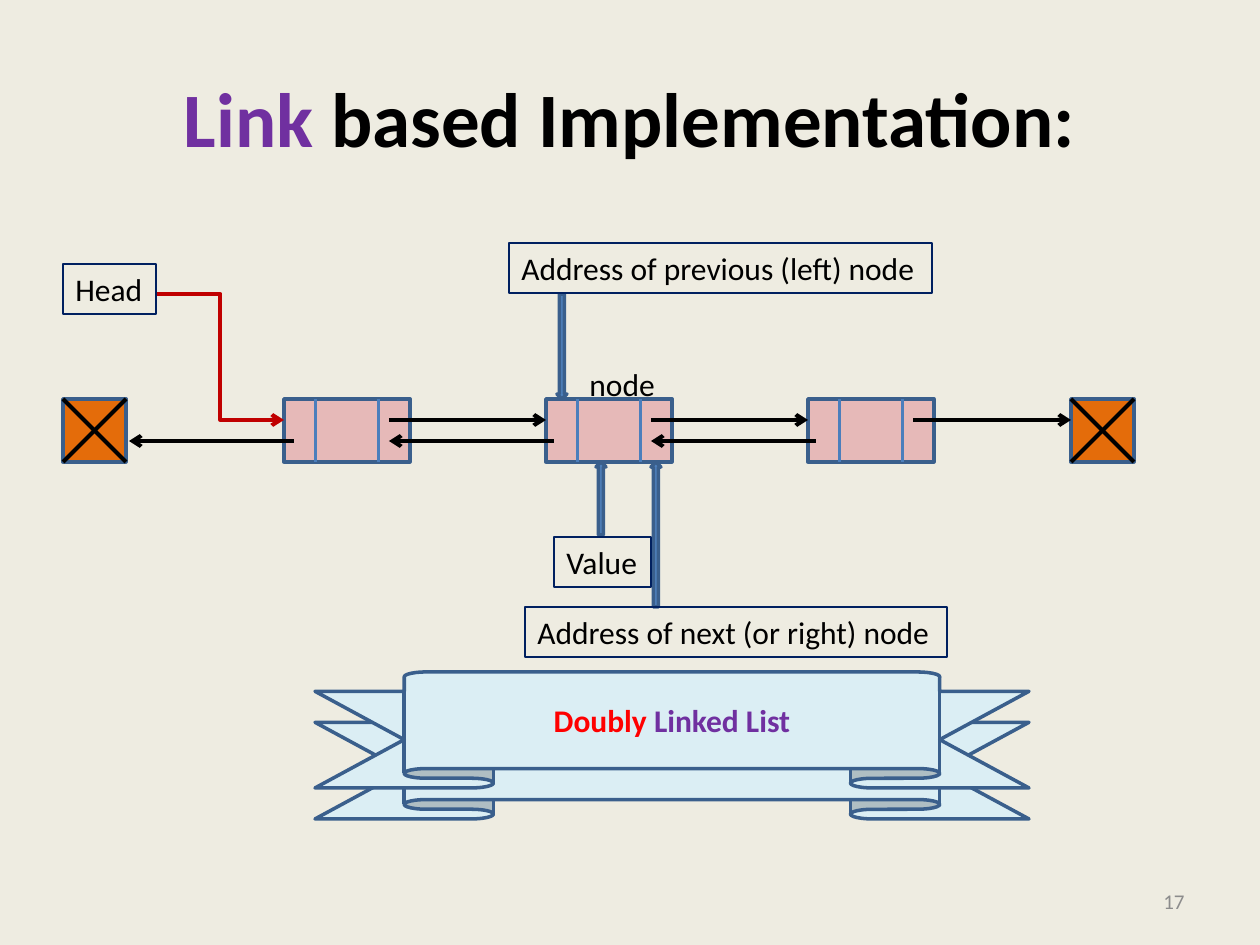
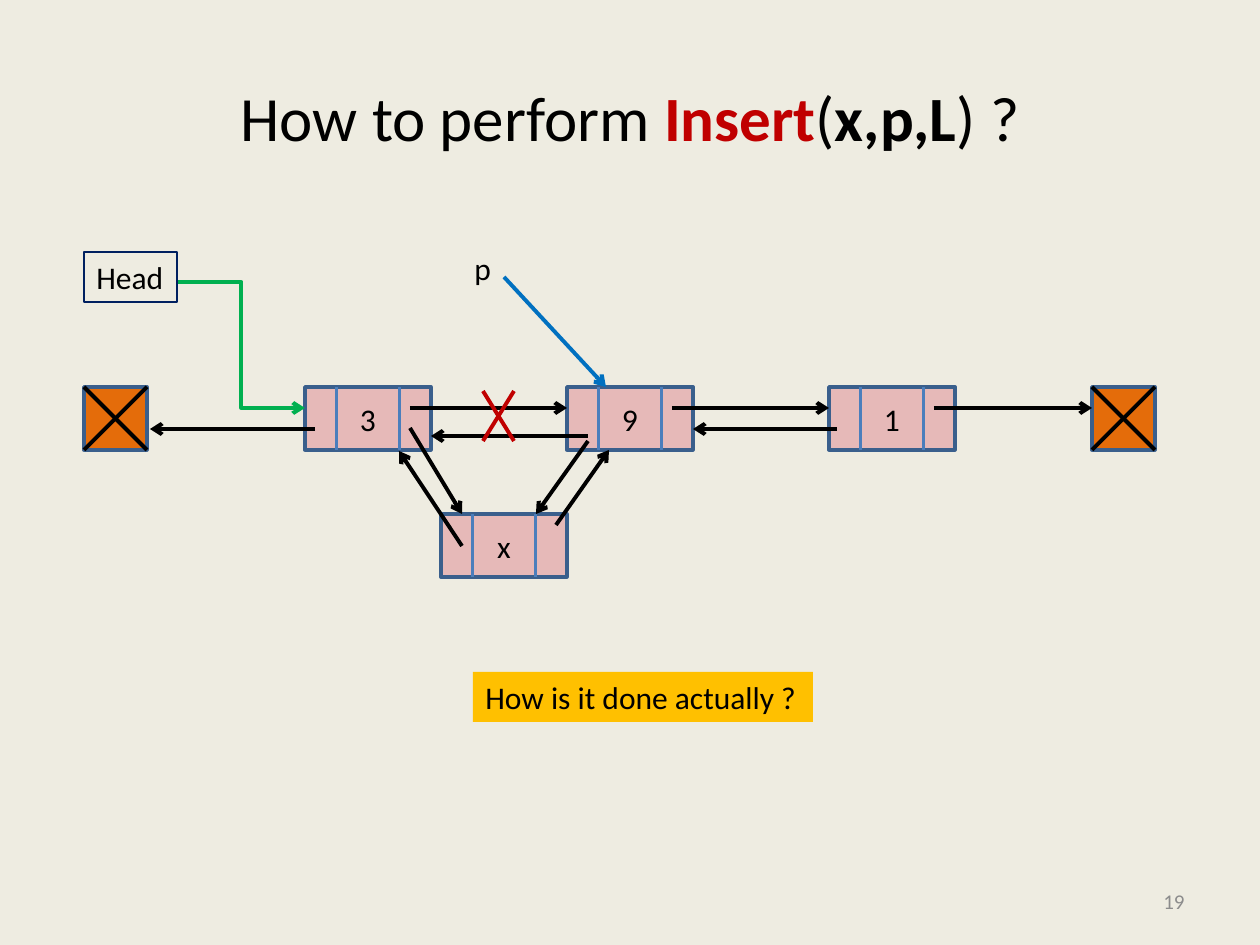
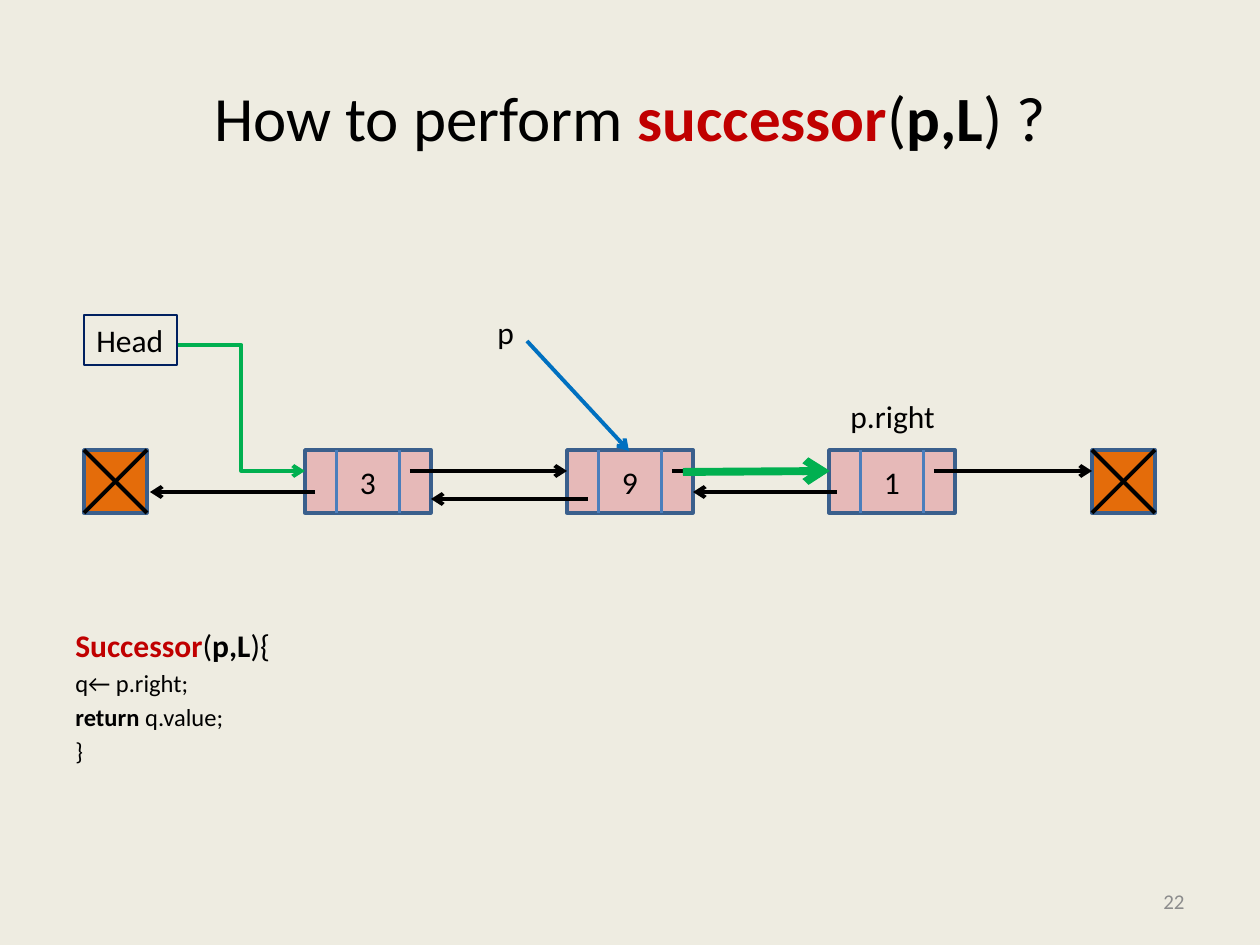
import pptx
import pptx.util
import pptx.dml.color
import pptx.enum.shapes
import pptx.enum.text
import pptx.oxml.ns
from lxml import etree

SCALE = 914400 / 126
SHAPE = pptx.enum.shapes.MSO_SHAPE
LINK = pptx.enum.shapes.MSO_CONNECTOR
ALIGN = pptx.enum.text.PP_ALIGN
MIDDLE = pptx.enum.text.MSO_ANCHOR.MIDDLE

# Shared colours and sizes
PAPER, INK, GREY = "EEECE1", "000000", "8C8C8C"
PURPLE, RED, CRIMSON = "7030A0", "FF0000", "C00000"
GREEN, BLUE, NAVY, GOLD = "00B050", "0070C0", "002060", "FFC000"
PINK, ORANGE, SKY = "E6B9B8", "E46C0A", "DBEEF4"
EDGE, SPLIT, ARROW = "3A5F8C", "4B7EBC", "4F81BD"
TITLE, NUMBER = (63, 38, 1134, 157), (903, 876, 294, 50)
NODE_W, NODE_H = 126, 63
NODES = [221 + 262 * i for i in range(3)]
END = 1008      # left side of the last null box
OUT = 105       # where a forward link leaves its node


def px(*sizes):
    return [pptx.util.Emu(round(size * SCALE)) for size in sizes]


def rgb(code):
    return pptx.dml.color.RGBColor.from_string(code)


def paint(shape, fill=None, line=None, width=2):
    if fill:
        shape.fill.solid()
        shape.fill.fore_color.rgb = rgb(fill)
    else:
        shape.fill.background()
    if line:
        shape.line.color.rgb = rgb(line)
        shape.line.width = pptx.util.Pt(width)
    else:
        shape.line.fill.background()


def write(para, runs, size):
    """Each run is text, colour, bold."""
    for text, color, bold in runs:
        run = para.add_run()
        run.text = text
        style = {"name": "Calibri", "size": pptx.util.Pt(size), "bold": bold}
        for key, value in style.items():
            setattr(run.font, key, value)
        run.font.color.rgb = rgb(color)


def block(slide, box, runs, size, align=ALIGN.LEFT):
    frame = slide.shapes.add_textbox(*px(*box)).text_frame
    frame.word_wrap = True
    frame.vertical_anchor = MIDDLE
    frame.paragraphs[0].alignment = align
    write(frame.paragraphs[0], runs, size)


def label(slide, box, text, fill=None, line=None):
    shape = slide.shapes.add_textbox(*px(*box))
    paint(shape, fill, line, 0.75)
    frame = shape.text_frame
    frame.word_wrap = False
    frame.auto_size = pptx.enum.text.MSO_AUTO_SIZE.SHAPE_TO_FIT_TEXT
    write(frame.paragraphs[0], [(text, INK, False)], 18)


def solid(slide, kind, box, fill, runs=()):
    shape = slide.shapes.add_shape(kind, *px(*box))
    shape.shadow.inherit = False
    paint(shape, fill, EDGE)
    if runs:
        frame = shape.text_frame
        frame.vertical_anchor = MIDDLE
        frame.paragraphs[0].alignment = ALIGN.CENTER
        write(frame.paragraphs[0], runs, 18)
    return shape


def stroke(slide, x1, y1, x2, y2, color=INK, width=2.25, head=False,
           kind=LINK.STRAIGHT):
    line = slide.shapes.add_connector(kind, *px(x1, y1, x2, y2))
    line.line.color.rgb = rgb(color)
    line.line.width = pptx.util.Pt(width)
    qn, props = pptx.oxml.ns.qn, line._element.spPr
    if head:
        etree.SubElement(props.find(qn("a:ln")), qn("a:tailEnd"), type="arrow")
    etree.SubElement(props, qn("a:effectLst"))


def cross(slide, x, y, wide, high, color=INK):
    stroke(slide, x, y, x + wide, y + high, color)
    stroke(slide, x + wide, y, x, y + high, color)


def null(slide, x, y):
    solid(slide, SHAPE.RECTANGLE, (x, y, NODE_H, NODE_H), ORANGE)
    cross(slide, x, y, NODE_H, NODE_H)


def node(slide, x, y, text=""):
    runs = [(text, INK, False)] if text else ()
    solid(slide, SHAPE.RECTANGLE, (x, y, NODE_W, NODE_H), PINK, runs)
    for part in (0.25, 0.75):
        mid = x + NODE_W * part
        stroke(slide, mid, y, mid, y + NODE_H, SPLIT)


def chain(slide, x, y, values, color, backs):
    """Linked list; each back link is start in node, end in previous, drop."""
    for left in (0, END):
        null(slide, x + left, y)
    for left, value in zip(NODES, values):
        node(slide, x + left, y, value)
    # Forward links
    for left, stop in zip(NODES, NODES[1:] + [END]):
        stroke(slide, x + left + OUT, y + 21, x + stop, y + 21, head=True)
    # Backward links
    for left, prev, (start, stop, drop) in zip(NODES, [0] + NODES, backs):
        stroke(slide, x + left + start, y + drop, x + prev + stop, y + drop,
               head=True)
    # Head pointer
    stroke(slide, x + 94, y - 105, x + NODES[0], y + 21, color, head=True,
           kind=LINK.ELBOW)
    label(slide, (x, y - 135, 93, 50), "Head", line=NAVY)


def pointer(slide, x, y):
    stroke(slide, x + 42, y + 34, x + 144, y + 144, BLUE, head=True)
    label(slide, (x, y, 43, 50), "p")


def notes(slide, x, y):
    """Labels and block arrows around the middle node."""
    label(slide, (x + 514, y - 40, 92, 50), "node")
    for kind, left, top, high in ((SHAPE.UP_ARROW, 533, 63, 73),
                                  (SHAPE.UP_ARROW, 588, 63, 145),
                                  (SHAPE.DOWN_ARROW, 494, -105, 105)):
        solid(slide, kind, (x + left, y + top, 10, high), ARROW)
    for left, top, wide, text in (
            (491, 138, 97, "Value"),
            (462, 208, 422, "Address of next (or right) node"),
            (446, -156, 423, "Address of previous (left) node")):
        label(slide, (x + left, y + top, wide, 50), text, line=NAVY)


def ribbon(slide, x, y, runs=()):
    shape = solid(slide, SHAPE.UP_RIBBON, (x, y, 714, 116), SKY, runs)
    shape.adjustments[0], shape.adjustments[1] = 0.167, 0.75


def splice(slide, x, y):
    """New node below the list, with its links and the cut."""
    node(slide, x + 357, y + 127, "x")
    cross(slide, x + 399, y + 4, 31, 50, CRIMSON)
    for x1, y1, x2, y2 in ((326, 41, 378, 127), (504, 54, 452, 127),
                           (378, 159, 315, 64), (472, 138, 525, 63)):
        stroke(slide, x + x1, y + y1, x + x2, y + y2, head=True)


def code(slide, box, lines):
    frame = slide.shapes.add_textbox(*px(*box)).text_frame
    frame.word_wrap = True
    for i, (size, runs) in enumerate(lines):
        para = frame.add_paragraph() if i else frame.paragraphs[0]
        para.space_before = pptx.util.Pt(2.5 if i else 0)
        write(para, runs, size)


def page(deck, number, size, title):
    slide = deck.slides.add_slide(deck.slide_layouts[6])
    block(slide, TITLE, title, size, ALIGN.CENTER)
    block(slide, NUMBER, [(str(number), GREY, False)], 12, ALIGN.RIGHT)
    return slide


def call(name, args, close):
    return [(name, CRIMSON, True), ("(", INK, False), (args, INK, True),
            (close, INK, False)]


deck = pptx.Presentation()
deck.slide_width, deck.slide_height = px(1260, 945)
ground = deck.slide_master.background.fill
ground.solid()
ground.fore_color.rgb = rgb(PAPER)

ASK = ("How to perform ", INK, False)
VALUES = ("3", "9", "1")
BACKS = ((10, 66, 42), (21, 126, 49), (8, 126, 42))

# Doubly linked list
slide = page(deck, 17, 44, [("Link", PURPLE, True),
                            (" based Implementation:", INK, True)])
chain(slide, 63, 399, ("", "", ""), CRIMSON,
      ((10, 66, 42), (8, OUT, 42), (8, OUT, 42)))
notes(slide, 63, 399)
ribbon(slide, 315, 703)
ribbon(slide, 315, 672, [("Doubly ", RED, True),
                         ("Linked List", PURPLE, True)])

# Insert
slide = page(deck, 19, 36, [ASK] + call("Insert", "x,p,L", ") ?"))
chain(slide, 84, 387, VALUES, GREEN, BACKS)
pointer(slide, 462, 243)
splice(slide, 84, 387)
label(slide, (473, 672, 340, 50), "How is it done actually ?", GOLD)

# Successor
slide = page(deck, 22, 36, [ASK] + call("successor", "p,L", ") ?"))
code(slide, (63, 620, 1134, 224), [
    (18, call("Successor", "p,L", "){")),
    (14, [("q← p.right;", INK, False)]),
    (14, [("return ", INK, True), ("q.value;", INK, False)]),
    (14, [("}", INK, False)])])
chain(slide, 84, 450, VALUES, GREEN, BACKS)
pointer(slide, 485, 307)
label(slide, (838, 391, 111, 50), "p.right")
stroke(slide, 683, 472, 830, 471, GREEN, 4.5, True)

deck.save("out.pptx")
